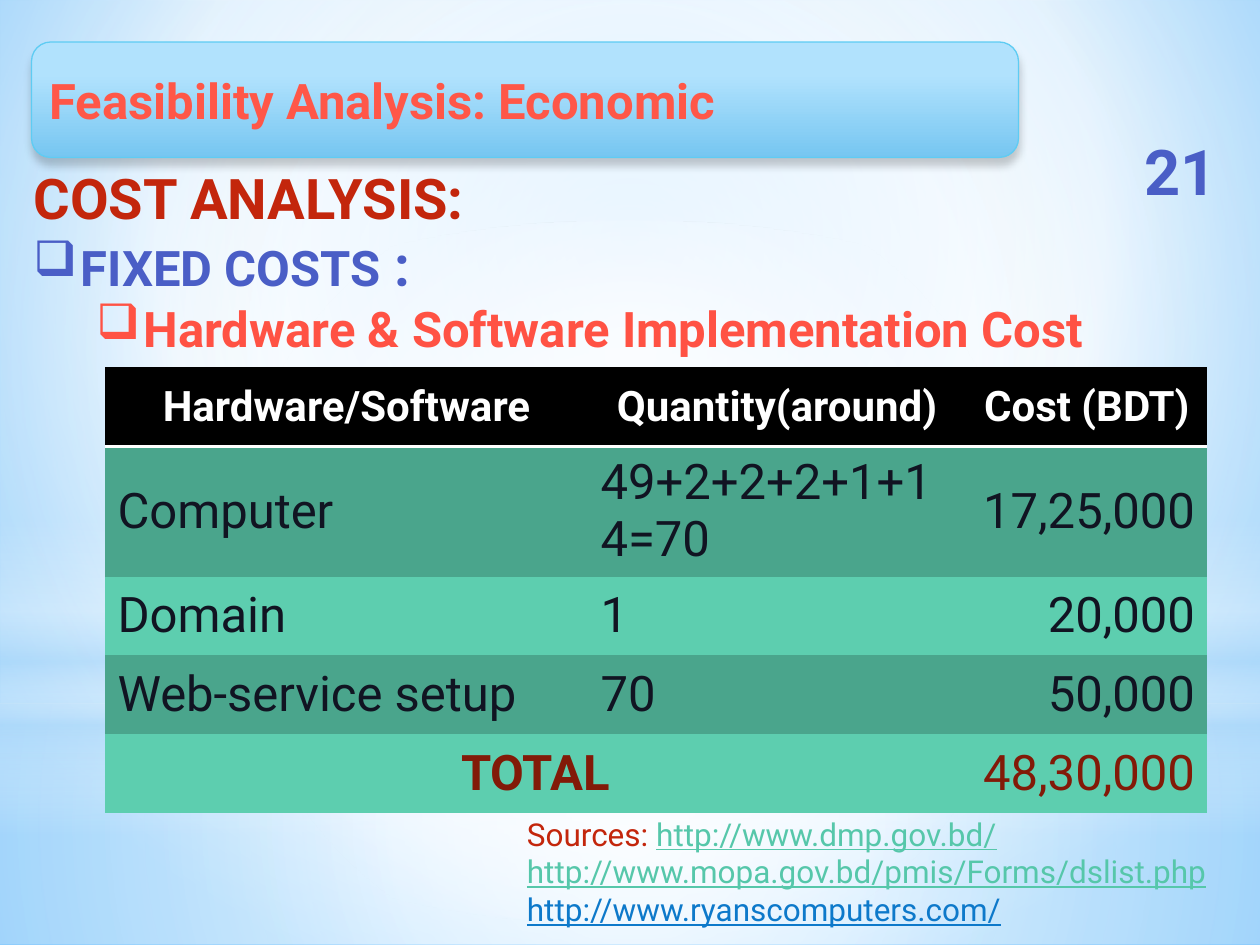
"""Build the slide on economic feasibility with its fixed cost table."""
from lxml.etree import SubElement
from pptx import Presentation
from pptx.dml.color import RGBColor
from pptx.enum.shapes import MSO_SHAPE
from pptx.enum.text import MSO_ANCHOR, PP_ALIGN
from pptx.oxml import parse_xml
from pptx.oxml.ns import qn
from pptx.util import Inches, Pt

NS = 'xmlns:a="http://schemas.openxmlformats.org/drawingml/2006/main"'
HUES = {
    "white": "FFFFFF", "black": "000000", "haze": "B4DCFA", "edge": "5ECCF3",
    "coral": "FF5748", "blush": "FF5244", "indigo": "4A5EC6", "red": "C3260C",
    "ink": "111422", "total": "821A08", "deep": "4AA58C", "mint": "5DCEAF",
    "link": "56C7AA", "blue": "0D79CA", "sky": "9ED5FF", "azure": "5BB9FF",
    "top": "B1E2FD", "base": "76C6F1",
}


def wash(fill, root, stops, focus=None):
    """Fill with stops of place, hue and opacity, around a focus or downwards."""
    fill.gradient()
    old = root.find(".//" + qn("a:gradFill"))
    marks = "".join(
        f'<a:gs pos="{at * 1000}"><a:srgbClr val="{HUES[hue]}">'
        f'<a:alpha val="{clear * 1000}"/></a:srgbClr></a:gs>'
        for at, hue, clear in stops)
    way = '<a:lin ang="5400000" scaled="0"/>'
    if focus:
        sides = " ".join(f'{s}="{v * 1000}"' for s, v in zip("ltrb", focus))
        way = f'<a:path path="circle"><a:fillToRect {sides}/></a:path>'
    new = parse_xml(f'<a:gradFill {NS} rotWithShape="1"><a:gsLst>{marks}</a:gsLst>{way}</a:gradFill>')
    old.getparent().replace(old, new)


def write(par, runs, align=PP_ALIGN.LEFT):
    """Add runs of text, size, hue, bold and underline to a paragraph."""
    par.alignment = align
    for text, size, hue, bold, under in runs:
        run = par.add_run()
        run.text = text
        font = run.font
        font.name, font.size = "Roboto", Pt(size)
        font.bold, font.underline = bold, under
        font.color.rgb = RGBColor.from_string(HUES[hue])


deck = Presentation()
deck.slide_width, deck.slide_height = Inches(10), Inches(7.5)
unit = deck.slide_width / 120
slide = deck.slides.add_slide(deck.slide_layouts[6])
shapes = slide.shapes
wash(slide.background.fill, slide.element,
     [(0, "sky", 100), (60, "white", 100), (100, "azure", 100)], (20, 10, 20, 60))

mid = (50, 50, 50, 50)
layers = [
    (MSO_SHAPE.RECTANGLE, 67, 23, mid,
     [(0, "white", 91), (37, "white", 76), (100, "haze", 79)]),
    (MSO_SHAPE.RECTANGLE, 0, 67, mid,
     [(0, "white", 89), (48, "white", 62), (100, "haze", 79)]),
    (MSO_SHAPE.RECTANGLE, 49.5, 30, None,
     [(0, "white", 0), (29, "white", 30), (45, "haze", 40),
      (55, "white", 26), (65, "haze", 60), (100, "white", 0)]),
    (MSO_SHAPE.OVAL, 21, 67, mid, [(0, "white", 100), (56, "white", 0)]),
]
for kind, top, high, focus, stops in layers:
    layer = shapes.add_shape(kind, 0, int(top * unit), deck.slide_width, int(high * unit))
    layer.shadow.inherit = False
    layer.line.fill.background()
    wash(layer.fill, layer.element.spPr, stops, focus)

title = shapes.add_shape(MSO_SHAPE.ROUNDED_RECTANGLE,
                         *[int(n * unit) for n in (3, 4, 94, 11)])
title.shadow.inherit = False
title.line.color.rgb = RGBColor.from_string(HUES["edge"])
title.line.width = Pt(0.75)
wash(title.fill, title.element.spPr, [(28, "top", 100), (100, "base", 100)])
glow = title.element.spPr.find(qn("a:effectLst"))
glow.append(parse_xml(
    f'<a:outerShdw {NS} blurRad="{Pt(5)}" dist="{Pt(4)}" dir="5400000" rotWithShape="0">'
    f'<a:srgbClr val="{HUES["black"]}"><a:alpha val="20000"/></a:srgbClr></a:outerShdw>'))
title.text_frame.vertical_anchor = MSO_ANCHOR.MIDDLE
write(title.text_frame.paragraphs[0],
      [("Feasibility Analysis: Economic", 28, "coral", True, False)])

texts = [
    ((106.5, 13, 11.8, 6.5), MSO_ANCHOR.MIDDLE, PP_ALIGN.CENTER, [
        (None, [("21", 36, "indigo", True, False)])]),
    ((2, 15, 114.7, 19.8), MSO_ANCHOR.TOP, PP_ALIGN.LEFT, [
        (None, [("COST ANALYSIS:", 32, "red", True, False)]),
        (0, [("FIXED COSTS", 28, "indigo", True, False),
             (" :", 32, "indigo", True, False)]),
        (1, [("Hardware & Software Implementation Cost", 28, "blush", True, False)])]),
    ((49, 77, 70, 12.1), MSO_ANCHOR.TOP, PP_ALIGN.LEFT, [
        (None, [("Sources: ", 18, "red", False, False),
                ("http://www.dmp.gov.bd/", 18, "link", False, True)]),
        (None, [("http://www.mopa.gov.bd/pmis/Forms/dslist.php", 18, "link", False, True)]),
        (None, [("http://www.ryanscomputers.com/", 18, "blue", False, True)])]),
]
for box, anchor, align, lines in texts:
    frame = shapes.add_textbox(*[int(n * unit) for n in box]).text_frame
    frame.word_wrap = True
    frame.vertical_anchor = anchor
    for row, (level, runs) in enumerate(lines):
        par = frame.add_paragraph() if row else frame.paragraphs[0]
        if level is not None:
            par.level = level
            props = par._p.get_or_add_pPr()
            props.set("marL", str(int((4.5 + 6 * level) * unit)))
            props.set("indent", str(int(-4.5 * unit)))
            SubElement(props, qn("a:buChar"), char="❑")
        write(par, runs, align)

data = [
    ("Hardware/Software", "Quantity(around)", "Cost (BDT)"),
    ("Computer", "49+2+2+2+1+14=70", "17,25,000"),
    ("Domain", "1", "20,000"),
    ("Web-service setup", "70", "50,000"),
    ("TOTAL", "", "48,30,000"),
]
costs = shapes.add_table(5, 3, *[int(n * unit) for n in (10, 35, 105, 37.5)]).table
costs.first_row = costs.horz_banding = False
costs._tbl.tblPr.find(qn("a:tableStyleId")).text = "{2D5ABB26-0587-4C30-8999-92F81FD0307C}"
for col, wide in zip(costs.columns, (46, 36, 23)):
    col.width = int(wide * unit)
costs.cell(4, 0).merge(costs.cell(4, 1))
last = len(data) - 1
for r, words in enumerate(data):
    band = "black" if r == 0 else "deep" if r % 2 else "mint"
    hue = {0: "white", last: "total"}.get(r, "ink")
    for c, word in enumerate(words):
        cell = costs.cell(r, c)
        cell.fill.solid()
        cell.fill.fore_color.rgb = RGBColor.from_string(HUES[band])
        cell.vertical_anchor = MSO_ANCHOR.MIDDLE
        if r == 0:
            cell._tc.get_or_add_tcPr().insert(0, parse_xml(
                f'<a:lnB {NS} w="{Pt(2)}"><a:solidFill><a:srgbClr val="{HUES["white"]}"/>'
                '</a:solidFill></a:lnB>'))
        head = r == 0 or word == "TOTAL"
        align = PP_ALIGN.CENTER if head else PP_ALIGN.RIGHT if c == 2 else PP_ALIGN.LEFT
        if word:
            write(cell.text_frame.paragraphs[0],
                  [(word, 28 if r else 24, hue, head, False)], align)

deck.save("out.pptx")
